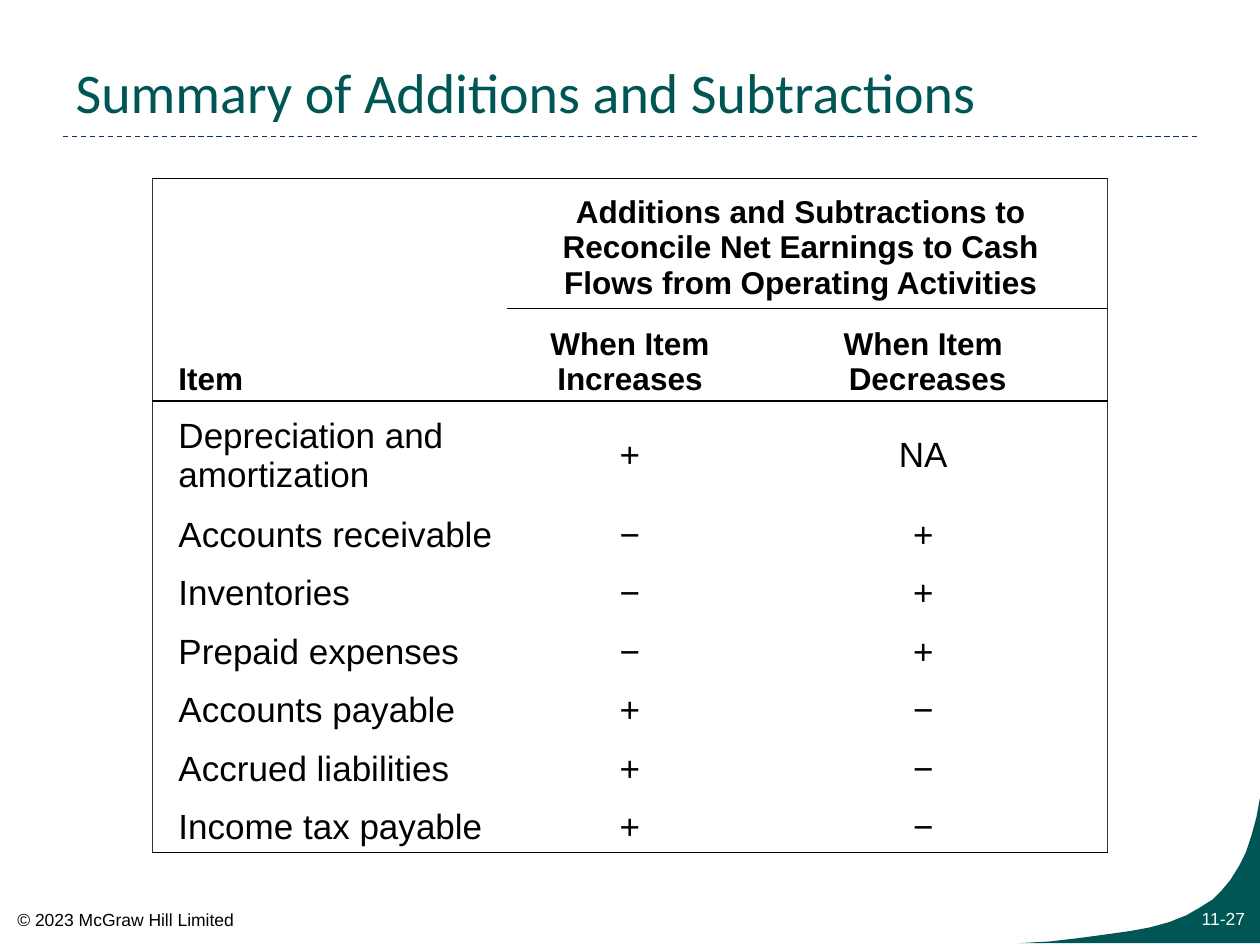
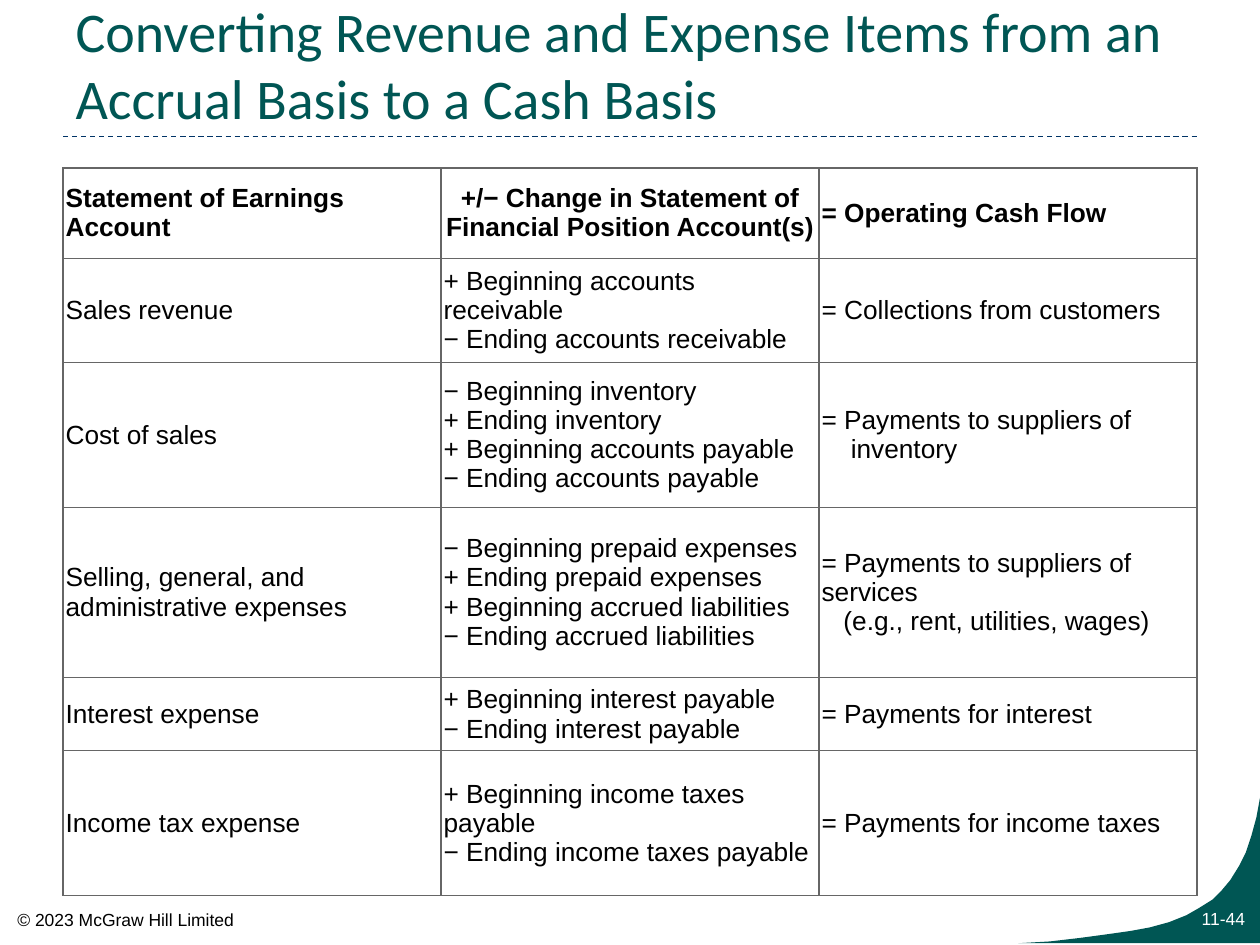
import pptx
import pptx.dml.color
import pptx.enum.dml
import pptx.enum.shapes
import pptx.enum.text
import pptx.oxml
import pptx.oxml.ns
import pptx.util
from lxml import etree

Pt = pptx.util.Pt
ALIGN = pptx.enum.text.PP_ALIGN
ANCHOR = pptx.enum.text.MSO_ANCHOR

GREEN, NAVY, BLACK, WHITE = "005654", "003366", "000000", "FFFFFF"
DARK_GREY, GREY = "333333", "666666"
INDENTS = {"Decreases": 5, "inventory": 16.7, "(e.g., rent, utilities, wages)": 12.5}
CORNER = [(720, 455.8), (720, 539.3), (581.8, 539.3), (600.5, 537.8), (617, 536.4),
          (632.2, 534.2), (645.8, 532.1), (657.4, 529.9), (668.2, 527), (677.5, 523.4),
          (685.4, 519.1), (692.6, 514.1), (698.4, 509), (703.4, 502.6), (707.8, 495.4),
          (712.1, 487.4), (715, 478.1), (717.8, 467.3)]


def rgb(color):
    return pptx.dml.color.RGBColor.from_string(color)


def format_cell(cell, text, size, bold, align, anchor, insets, edges):
    """Write the lines of text; insets and edges run left, right, top, bottom."""
    tf = cell.text_frame
    tf.text = text
    for p in tf.paragraphs:
        if p.text in INDENTS:
            p._p.get_or_add_pPr().set("marL", str(Pt(INDENTS[p.text])))
        p.alignment = align
        p.font.name, p.font.size, p.font.bold = "Arial", Pt(size), bold
        p.font.color.rgb = rgb(BLACK)
    cell.vertical_anchor = anchor
    cell.margin_left, cell.margin_right, cell.margin_top, cell.margin_bottom = map(Pt, insets)
    cell.fill.solid()
    cell.fill.fore_color.rgb = rgb(WHITE)
    tcPr = cell._tc.get_or_add_tcPr()
    for i, (side, color) in enumerate(zip("LRTB", edges)):
        ln = etree.Element(pptx.oxml.ns.qn(f"a:ln{side}"), w=str(Pt(0.75)))
        if color:
            fill = etree.SubElement(ln, pptx.oxml.ns.qn("a:solidFill"))
            etree.SubElement(fill, pptx.oxml.ns.qn("a:srgbClr"), val=color)
        else:
            etree.SubElement(ln, pptx.oxml.ns.qn("a:noFill"))
        tcPr.insert(i, ln)


prs = pptx.Presentation()
prs.slide_width, prs.slide_height = Pt(720), Pt(540)

# Each slide: title, title top, page number, table left and top, columns, rows, cells
summary = [
    ("", "Additions and Subtractions to Reconcile Net Earnings to Cash "
         "Flows from Operating Activities", ""),
    ("Item", "When Item Increases", "When Item\nDecreases"),
    ("Depreciation and amortization", "+", "NA"),
    ("Accounts receivable", "−", "+"),
    ("Inventories", "−", "+"),
    ("Prepaid expenses", "−", "+"),
    ("Accounts payable", "+", "−"),
    ("Accrued liabilities", "+", "−"),
    ("Income tax payable", "+", "−"),
]
conversion = [
    ("Statement of Earnings Account",
     "+/− Change in Statement of Financial Position Account(s)",
     "= Operating Cash Flow"),
    ("Sales revenue",
     "+ Beginning accounts receivable\n− Ending accounts receivable",
     "= Collections from customers"),
    ("Cost of sales",
     "− Beginning inventory\n+ Ending inventory\n"
     "+ Beginning accounts payable\n− Ending accounts payable",
     "= Payments to suppliers of\ninventory"),
    ("Selling, general, and administrative expenses",
     "− Beginning prepaid expenses\n+ Ending prepaid expenses\n"
     "+ Beginning accrued liabilities\n− Ending accrued liabilities",
     "= Payments to suppliers of services\n(e.g., rent, utilities, wages)"),
    ("Interest expense",
     "+ Beginning interest payable\n− Ending interest payable",
     "= Payments for interest"),
    ("Income tax expense",
     "+ Beginning income taxes payable\n− Ending income taxes payable",
     "= Payments for income taxes"),
]
slides = [
    ("Summary of Additions and Subtractions", 12.2, "11-27", 87, 102,
     [203, 140, 203], [70, 53, 55] + [32] * 6, summary),
    ("Converting Revenue and Expense Items from an Accrual Basis to a Cash Basis",
     15.8, "11-44", 36, 96, [216] * 3, [51.5, 55.5, 82.5, 97.5, 39, 82.5], conversion),
]

tables = []
for title, title_top, number, left, top, widths, heights, rows in slides:
    s = prs.slides.add_slide(prs.slide_layouts[5])

    rule = s.shapes.add_connector(pptx.enum.shapes.MSO_CONNECTOR.STRAIGHT,
                                  Pt(36), Pt(78), Pt(684), Pt(78))
    rule.line.color.rgb = rgb(NAVY)
    rule.line.width = Pt(0.75)
    rule.line.dash_style = pptx.enum.dml.MSO_LINE.DASH
    etree.SubElement(rule._element.spPr, pptx.oxml.ns.qn("a:effectLst"))

    outline = s.shapes.build_freeform(*CORNER[0], scale=Pt(1))
    outline.add_line_segments(CORNER[1:], close=True)
    corner = outline.convert_to_shape()
    corner.shadow.inherit = False
    corner.fill.solid()
    corner.fill.fore_color.rgb = rgb(GREEN)
    corner.line.fill.background()

    for text, x, y, width, wrap, align, color in [
            (number, 648, 515.5, 70.5, True, ALIGN.RIGHT, WHITE),
            ("© 2023 McGraw Hill Limited", 2.9, 516.2, 139.7, False, ALIGN.LEFT, BLACK)]:
        tf = s.shapes.add_textbox(Pt(x), Pt(y), Pt(width), Pt(19.4)).text_frame
        tf.word_wrap = wrap
        tf.text = text
        p = tf.paragraphs[0]
        p.alignment = align
        p.font.name, p.font.size = "Arial", Pt(10)
        p.font.color.rgb = rgb(color)

    sp = s.shapes.title
    sp.left, sp.top, sp.width, sp.height = Pt(36), Pt(title_top), Pt(648), Pt(62.6)
    tf = sp.text_frame
    tf.text = title
    tf.word_wrap = True
    tf.auto_size = pptx.enum.text.MSO_AUTO_SIZE.NONE
    tf.vertical_anchor = ANCHOR.BOTTOM
    p = tf.paragraphs[0]
    p.alignment = ALIGN.LEFT
    p.font.name, p.font.size = "Calibri", Pt(32)
    p.font.color.rgb = rgb(GREEN)

    table = s.shapes.add_table(len(rows), len(widths), Pt(left), Pt(top),
                               Pt(sum(widths)), Pt(sum(heights))).table
    table.first_row = table.horz_banding = False
    for column, width in zip(table.columns, widths):
        column.width = Pt(width)
    for row, height in zip(table.rows, heights):
        row.height = Pt(height)
    tables.append(table)

# Summary table: outer frame and header rules only
table = tables[0]
last = len(summary) - 1
table.cell(0, 1).merge(table.cell(0, 2))
for i, row in enumerate(summary):
    for j, text in enumerate(row):
        spanning = i == 0 and j > 0
        edges = (DARK_GREY if j == 0 else None,
                 DARK_GREY if j == 2 or spanning else None,
                 BLACK if i in (0, 2) or (i == 1 and j > 0) else None,
                 BLACK if i in (1, last) or spanning else None)
        insets = (15 if j == 0 else 7.2, 15 if j == 2 or spanning else 7.2, 7.2, 2.2)
        format_cell(table.cell(i, j), text, 18 if i < 2 else 20, i < 2,
                    ALIGN.CENTER if j else ALIGN.LEFT,
                    ANCHOR.BOTTOM if i == 1 else ANCHOR.MIDDLE, insets, edges)

# Conversion table: full grid
for i, row in enumerate(conversion):
    for j, text in enumerate(row):
        format_cell(tables[1].cell(i, j), text, 15, i == 0,
                    ALIGN.CENTER if (i, j) == (0, 1) else ALIGN.LEFT,
                    ANCHOR.MIDDLE, (1.5, 1.5, 2.9, 2.9), [GREY] * 4)

prs.save("out.pptx")
